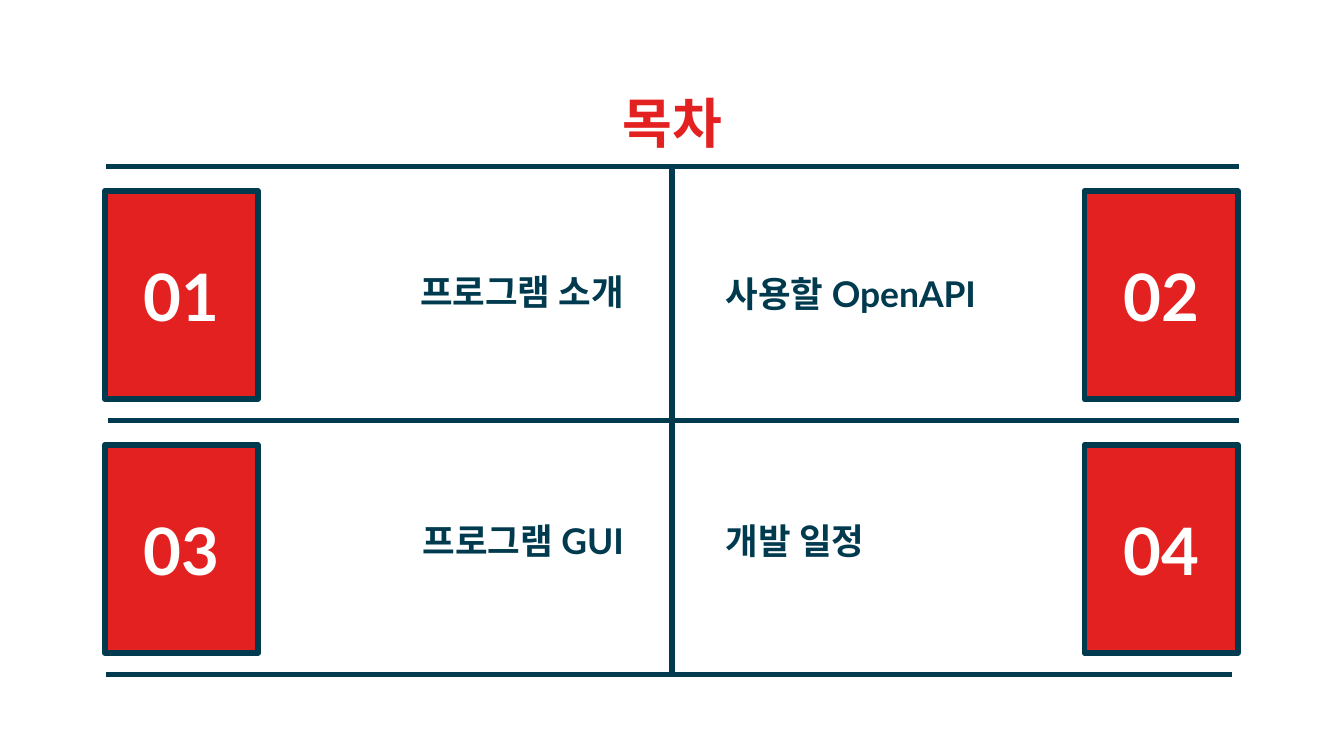
from dataclasses import dataclass

from lxml.etree import SubElement
from pptx import Presentation
from pptx.dml.color import RGBColor
from pptx.enum.shapes import MSO_CONNECTOR as Connector, MSO_SHAPE as Shape
from pptx.enum.text import MSO_ANCHOR as Anchor, PP_ALIGN as Align
from pptx.oxml.ns import qn
from pptx.util import Inches, Pt


@dataclass(frozen=True)
class Theme:
    red: RGBColor = RGBColor(0xE4, 0x21, 0x21)
    navy: RGBColor = RGBColor(0x00, 0x3A, 0x4E)
    white: RGBColor = RGBColor(0xFF, 0xFF, 0xFF)
    font: str = "Lato"
    title_size: int = 29
    label_size: int = 19
    number_size: int = 35
    stroke: int = 3


THEME = Theme()
SLIDE_WIDTH = 10
SLIDE_HEIGHT = SLIDE_WIDTH * 9 / 16
GRID_LEFT, GRID_RIGHT, GRID_TOP = 0.79, 9.22, 1.24
ROW_HEIGHT = 1.89
CARD_SIZE = (1.14, 1.55)
CARD_LEFTS = (0.78, 8.07)
CARD_INSET = 0.18
LABEL_SIZE = (2.61, 0.56)
LABEL_LEFTS = (2.13, 5.25)
LABEL_TOPS = ((1.87, 1.88), (3.72, 3.72))
LABEL_ALIGNS = (Align.RIGHT, Align.LEFT)
TOPICS = (
    ("프로그램 소개", "사용할 OpenAPI"),
    ("프로그램 GUI", "개발 일정"),
)
RULE_SPANS = ((GRID_LEFT, GRID_RIGHT), (0.8, GRID_RIGHT), (GRID_LEFT, 9.17))


def set_all(target, values):
    for name, value in values.items():
        setattr(target, name, value)


def write(holder, wording, size, color, align, anchor=Anchor.MIDDLE, left_inset=0.1):
    frame = holder.text_frame
    set_all(frame, {
        "word_wrap": True,
        "vertical_anchor": anchor,
        "margin_left": Inches(left_inset),
        "margin_right": Inches(0.1),
        "margin_top": Inches(0.1),
        "margin_bottom": Inches(0.1),
    })
    paragraph = frame.paragraphs[0]
    paragraph.alignment = align
    run = paragraph.add_run()
    run.text = wording
    set_all(run.font, {"name": THEME.font, "size": Pt(size), "bold": True})
    run.font.color.rgb = color
    # Hangul takes its typeface from the East Asian font slot
    SubElement(run.font._element, qn("a:ea"), typeface=THEME.font)


def style_stroke(line):
    line.color.rgb = THEME.navy
    line.width = Pt(THEME.stroke)


def add_text(slide, box, wording, size, color, align, **layout):
    holder = slide.shapes.add_textbox(*map(Inches, box))
    write(holder, wording, size, color, align, **layout)


def add_number_card(slide, left, top, number):
    card = slide.shapes.add_shape(Shape.RECTANGLE, *map(Inches, (left, top, *CARD_SIZE)))
    card.shadow.inherit = False
    card.fill.solid()
    card.fill.fore_color.rgb = THEME.red
    style_stroke(card.line)
    SubElement(card.line._get_or_add_ln(), qn("a:round"))
    write(card, f"{number:02}", THEME.number_size, THEME.white, Align.CENTER)


def add_rule(slide, start, end):
    rule = slide.shapes.add_connector(Connector.STRAIGHT, *map(Inches, (*start, *end)))
    style_stroke(rule.line)
    SubElement(rule._element.spPr, qn("a:effectLst"))


def add_topics(slide):
    for row, labels in enumerate(TOPICS):
        card_top = GRID_TOP + CARD_INSET + row * ROW_HEIGHT
        for column, label in enumerate(labels):
            box = (LABEL_LEFTS[column], LABEL_TOPS[row][column], *LABEL_SIZE)
            add_text(slide, box, label, THEME.label_size, THEME.navy,
                     LABEL_ALIGNS[column], anchor=Anchor.BOTTOM, left_inset=0.15)
            number = row * len(labels) + column + 1
            add_number_card(slide, CARD_LEFTS[column], card_top, number)


def add_grid_rules(slide):
    middle = SLIDE_WIDTH / 2
    bottom = GRID_TOP + len(TOPICS) * ROW_HEIGHT
    add_rule(slide, (middle, GRID_TOP), (middle, bottom))
    for row, (left, right) in enumerate(RULE_SPANS):
        y = GRID_TOP + row * ROW_HEIGHT
        add_rule(slide, (left, y), (right, y))


def main():
    deck = Presentation()
    set_all(deck, {
        "slide_width": Inches(SLIDE_WIDTH),
        "slide_height": Inches(SLIDE_HEIGHT),
    })
    slide = deck.slides.add_slide(deck.slide_layouts[6])
    add_text(slide, (GRID_LEFT, 0.59, GRID_RIGHT - GRID_LEFT, 0.63), "목차",
             THEME.title_size, THEME.red, Align.CENTER)
    add_topics(slide)
    add_grid_rules(slide)
    deck.save("out.pptx")


if __name__ == "__main__":
    main()
